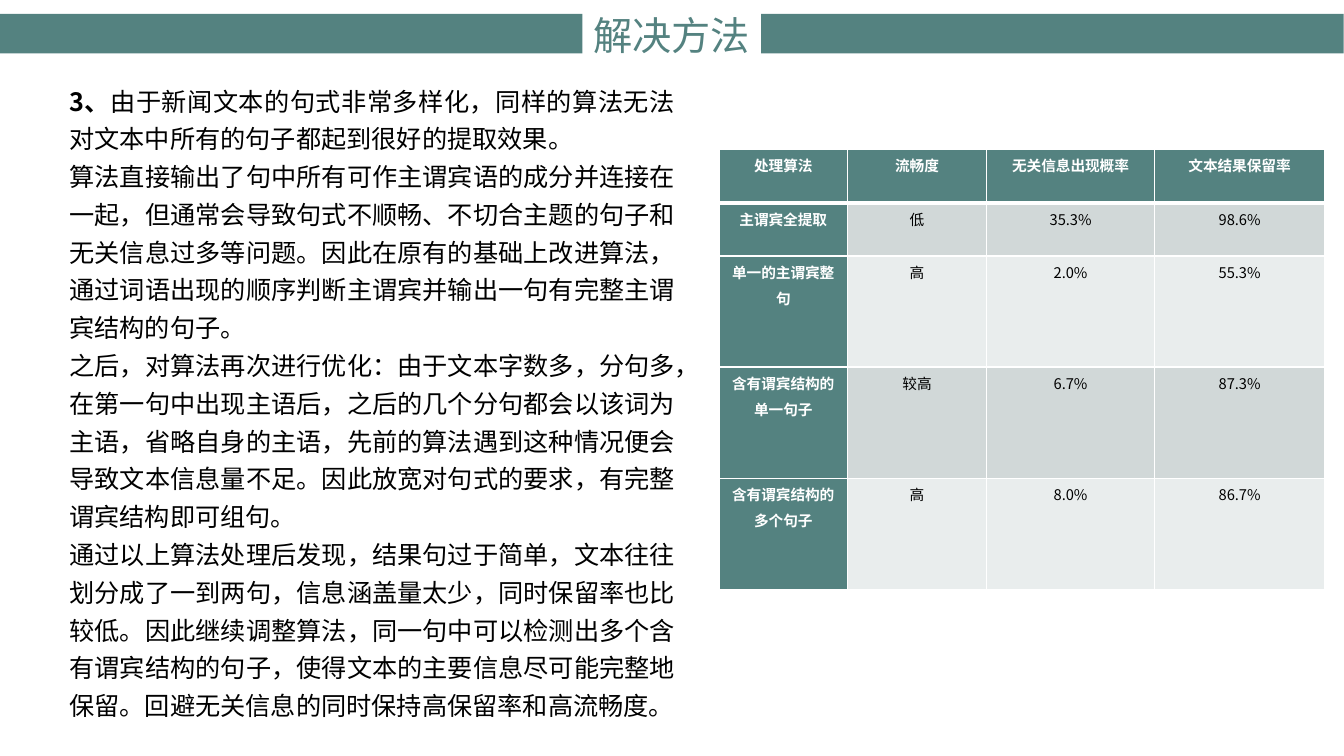
from dataclasses import dataclass

from lxml.etree import SubElement
from pptx import Presentation
from pptx.dml.color import RGBColor
from pptx.enum.shapes import MSO_SHAPE
from pptx.enum.text import MSO_ANCHOR, MSO_AUTO_SIZE, PP_ALIGN
from pptx.oxml.ns import qn
from pptx.util import Cm, Pt


@dataclass(frozen=True)
class Theme:
    font: str = "Noto Sans CJK SC"
    teal: str = "548280"
    band_dark: str = "D1D8D8"
    band_light: str = "E9EDED"
    white: str = "FFFFFF"
    black: str = "000000"
    title: float = 28
    body: float = 18
    cell: float = 10.5
    spacing: float = 1.25


THEME = Theme()

BODY = [
    [("3、", True), ("由于新闻文本的句式非常多样化，同样的算法无法对文本中所有的句子都起到很好的提取效果。", False)],
    [("算法直接输出了句中所有可作主谓宾语的成分并连接在一起，但通常会导致句式不顺畅、不切合主题的句子和"
      "无关信息过多等问题。因此在原有的基础上改进算法，通过词语出现的顺序判断主谓宾并输出一句有完整主谓"
      "宾结构的句子。", False)],
    [("之后，对算法再次进行优化：由于文本字数多，分句多，在第一句中出现主语后，之后的几个分句都会以该词为"
      "主语，省略自身的主语，先前的算法遇到这种情况便会导致文本信息量不足。因此放宽对句式的要求，有完整"
      "谓宾结构即可组句。", False)],
    [("通过以上算法处理后发现，结果句过于简单，文本往往划分成了一到两句，信息涵盖量太少，同时保留率也比"
      "较低。因此继续调整算法，同一句中可以检测出多个含有谓宾结构的句子，使得文本的主要信息尽可能完整地"
      "保留。回避无关信息的同时保持高保留率和高流畅度。", False)],
]

RESULTS = [
    ("处理算法", "流畅度", "无关信息出现概率", "文本结果保留率"),
    ("主谓宾全提取", "低", "35.3%", "98.6%"),
    ("单一的主谓宾整句", "高", "2.0%", "55.3%"),
    ("含有谓宾结构的单一句子", "较高", "6.7%", "87.3%"),
    ("含有谓宾结构的多个句子", "高", "8.0%", "86.7%"),
]
COLUMN_WIDTHS = (3.24, 3.5, 4.24, 4.28)
ROW_HEIGHTS = (1.34, 1.34, 2.8, 2.8, 2.8)


def style_paragraph(p, size, color, align, bold=None):
    p.alignment = align
    font = p.font
    font.name, font.size, font.bold = THEME.font, Pt(size), bold
    font.color.rgb = RGBColor.from_string(color)
    props = p._p.get_or_add_pPr().find(qn("a:defRPr"))
    SubElement(props, qn("a:ea"), typeface=THEME.font)


def add_bar(s, left):
    bar = s.shapes.add_shape(MSO_SHAPE.RECTANGLE, Cm(left), Cm(0.35), Cm(14.68), Cm(1))
    bar.shadow.inherit = False
    bar.fill.solid()
    bar.fill.fore_color.rgb = RGBColor.from_string(THEME.teal)
    bar.line.fill.background()


def add_title(s, text):
    sp = s.shapes.add_textbox(Cm(14.68), Cm(0.16), Cm(4.5), Cm(1.45))
    tf = sp.text_frame
    tf.word_wrap = False
    tf.auto_size = MSO_AUTO_SIZE.SHAPE_TO_FIT_TEXT
    tf.vertical_anchor = MSO_ANCHOR.MIDDLE
    p = tf.paragraphs[0]
    p.text = text
    style_paragraph(p, THEME.title, THEME.teal, PP_ALIGN.CENTER)


def add_body(s, paragraphs):
    sp = s.shapes.add_textbox(Cm(1.5), Cm(1.85), Cm(15.77), Cm(16.54))
    tf = sp.text_frame
    tf.word_wrap = True
    tf.auto_size = MSO_AUTO_SIZE.SHAPE_TO_FIT_TEXT
    for i, runs in enumerate(paragraphs):
        p = tf.add_paragraph() if i else tf.paragraphs[0]
        p.line_spacing = THEME.spacing
        style_paragraph(p, THEME.body, THEME.black, PP_ALIGN.JUSTIFY)
        for text, bold in runs:
            r = p.add_run()
            r.text = text
            r.font.bold = bold


def set_border(cell, side, width):
    line = SubElement(cell._tc.get_or_add_tcPr(), qn(f"a:{side}"), w=str(Pt(width)))
    fill = SubElement(line, qn("a:solidFill"))
    SubElement(fill, qn("a:srgbClr"), val=THEME.white)


def fill_cell(cell, text, row, col):
    heading = row == 0 or col == 0
    band = THEME.band_dark if row % 2 else THEME.band_light
    cell.margin_left = cell.margin_right = Cm(0.19)
    cell.margin_top = cell.margin_bottom = 0
    for side in ("lnL", "lnR", "lnT", "lnB"):
        under_header = (row, side) in ((0, "lnB"), (1, "lnT"))
        set_border(cell, side, 3 if under_header else 1)
    cell.fill.solid()
    cell.fill.fore_color.rgb = RGBColor.from_string(THEME.teal if heading else band)
    p = cell.text_frame.paragraphs[0]
    p.text = text
    p.line_spacing = THEME.spacing
    color = THEME.white if heading else THEME.black
    style_paragraph(p, THEME.cell, color, PP_ALIGN.CENTER, heading)


def add_results(s, rows):
    frame = s.shapes.add_table(len(rows), len(rows[0]), Cm(18.12), Cm(3.77),
                               Cm(sum(COLUMN_WIDTHS)), Cm(sum(ROW_HEIGHTS)))
    table = frame.table
    for column, width in zip(table.columns, COLUMN_WIDTHS):
        column.width = Cm(width)
    for i, (height, values) in enumerate(zip(ROW_HEIGHTS, rows)):
        table.rows[i].height = Cm(height)
        for j, text in enumerate(values):
            fill_cell(table.cell(i, j), text, i, j)


def main():
    prs = Presentation()
    prs.slide_width, prs.slide_height = Cm(33.87), Cm(19.05)
    s = prs.slides.add_slide(prs.slide_layouts[6])
    for left in (0, 19.18):
        add_bar(s, left)
    add_title(s, "解决方法")
    add_body(s, BODY)
    add_results(s, RESULTS)
    prs.save("out.pptx")


if __name__ == "__main__":
    main()
